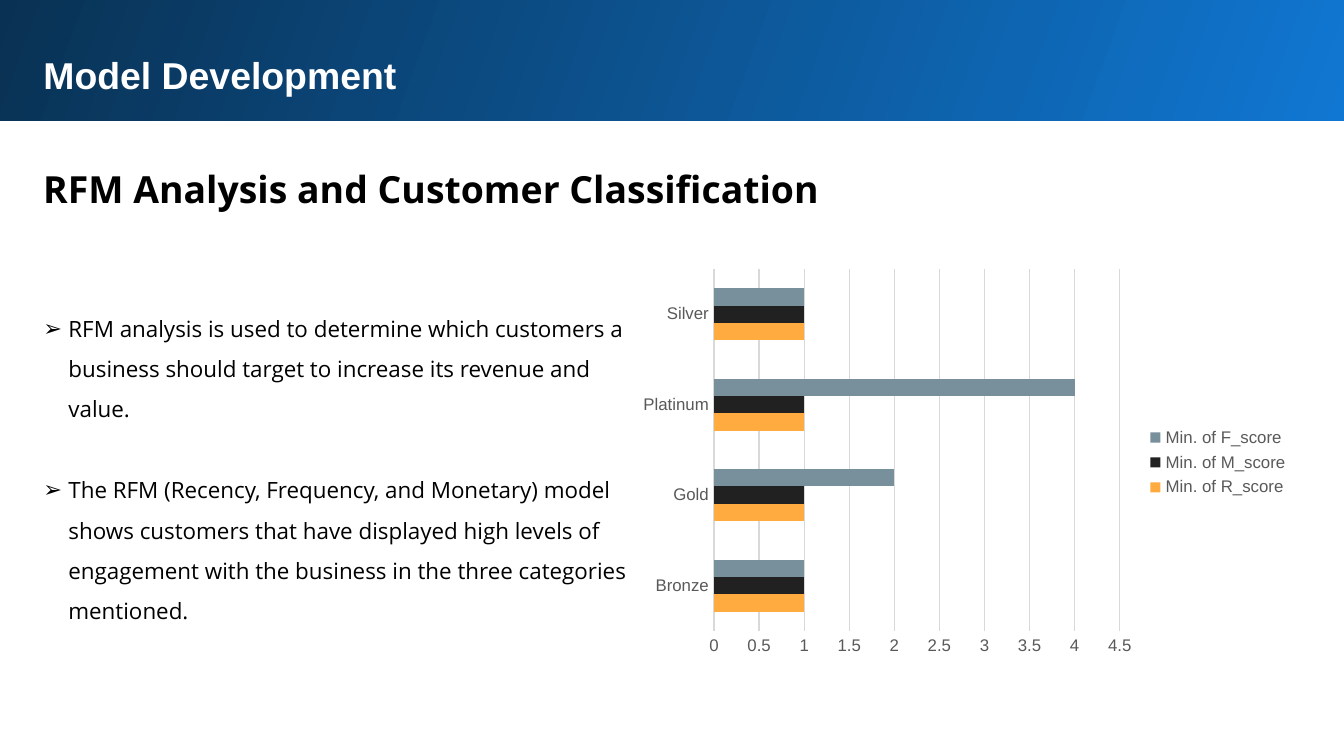
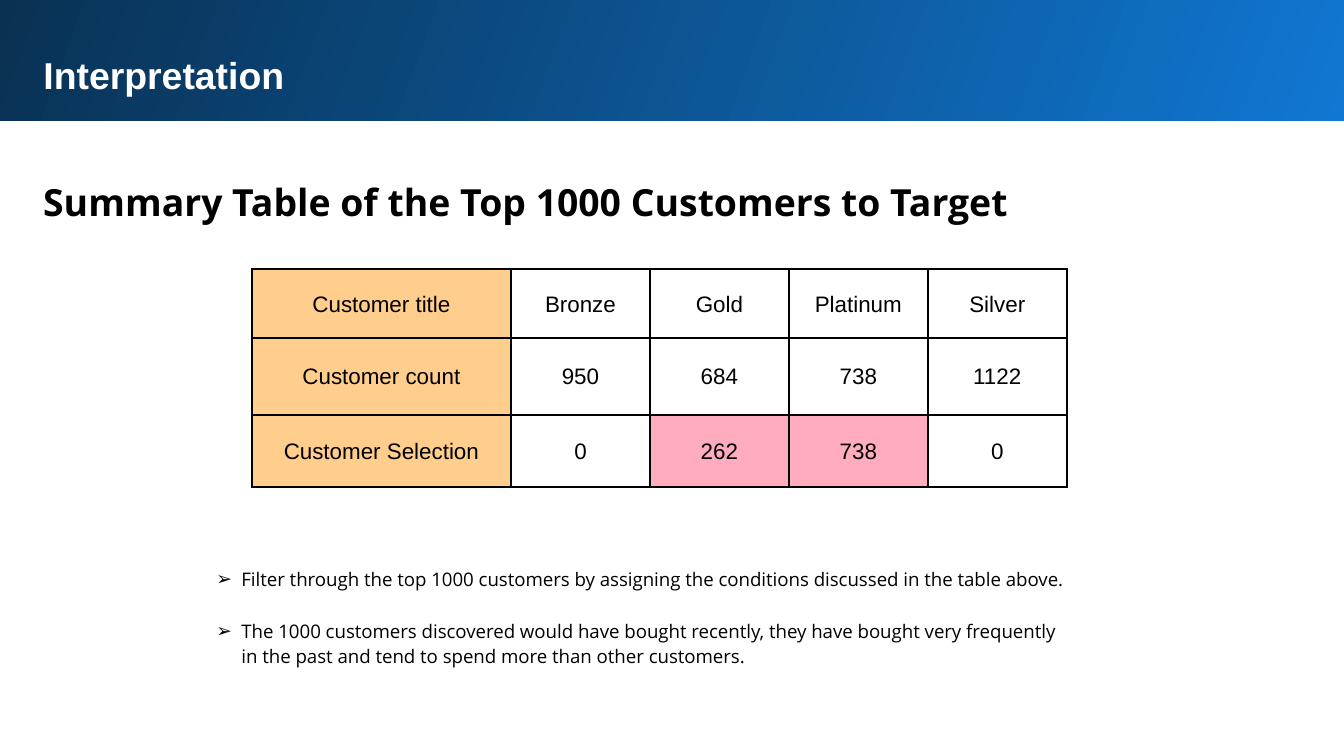
from lxml import etree
from pptx import Presentation
from pptx.chart.data import CategoryChartData
from pptx.dml.color import RGBColor
from pptx.enum.chart import XL_CHART_TYPE, XL_LEGEND_POSITION, XL_TICK_MARK
from pptx.enum.shapes import MSO_SHAPE
from pptx.enum.text import MSO_ANCHOR, MSO_AUTO_SIZE, PP_ALIGN
from pptx.oxml.ns import qn
from pptx.util import Inches, Pt

BLACK = RGBColor(0x00, 0x00, 0x00)
WHITE = RGBColor(0xFF, 0xFF, 0xFF)
BLUE = RGBColor(0x10, 0x77, 0xD2)
NAVY = RGBColor(0x09, 0x31, 0x53)
ORANGE = RGBColor(0xFF, 0xAB, 0x40)
CHARCOAL = RGBColor(0x21, 0x21, 0x21)
SLATE = RGBColor(0x78, 0x90, 0x9C)
GRAY = RGBColor(0x59, 0x59, 0x59)
GRID = RGBColor(0xD9, 0xD9, 0xD9)
PEACH = RGBColor(0xFF, 0xCD, 0x8C)
PINK = RGBColor(0xFF, 0xAD, 0xBE)
SANS, BODY = "Arial", "Open Sans"
PAD = Inches(0.1)


def px(*lengths):
    return [round(n * 914400 / 134.4) for n in lengths]


def write(sp, box, texts, size, font, color=BLACK, bold=False, spacing=1.0, gap=0):
    """Place a text shape and fill it with left-aligned paragraphs."""
    sp.left, sp.top, sp.width, sp.height = px(*box)
    tf = sp.text_frame
    tf.word_wrap = True
    tf.auto_size = MSO_AUTO_SIZE.SHAPE_TO_FIT_TEXT
    tf.vertical_anchor = MSO_ANCHOR.TOP
    tf.margin_left = tf.margin_right = tf.margin_top = tf.margin_bottom = PAD
    for i, text in enumerate(texts):
        p = tf.add_paragraph() if i else tf.paragraphs[0]
        p.alignment = PP_ALIGN.LEFT
        p.line_spacing = spacing
        p.space_before = Pt(gap if i else 0)
        p.space_after = Pt(0)
        r = p.add_run()
        r.text = text
        r.font.size, r.font.name, r.font.bold = Pt(size), font, bold
        r.font.color.rgb = color


prs = Presentation()
prs.slide_width, prs.slide_height = px(1344, 756)

# Title, title height, heading, heading top, list box, list size, spacing, gap, items
PAGES = [
    ("Model Development", 69, "RFM Analysis and Customer Classification", 146,
     (30, 288, 628, 348), 12, 1.5, 21.7,
     ["RFM analysis is used to determine which customers a business should "
      "target to increase its revenue and value.",
      "The RFM (Recency, Frequency, and Monetary) model shows customers that "
      "have displayed high levels of engagement with the business in the three "
      "categories mentioned."]),
    ("Interpretation", 112, "Summary Table of the Top 1000 Customers to Target", 159,
     (203, 551, 882, 129), 10, 1.15, 13.9,
     ["Filter through the top 1000 customers by assigning the conditions "
      "discussed in the table above.",
      "The 1000 customers discovered would have bought recently, they have bought "
      "very frequently in the past and tend to spend more than other customers."]),
]

# Band, title, heading and arrow list of each slide
for title, title_h, heading, top, box, size, spacing, gap, items in PAGES:
    s = prs.slides.add_slide(prs.slide_layouts[1])
    band = s.shapes.add_shape(MSO_SHAPE.RECTANGLE, *px(-3, -3, 1351, 124))
    band.shadow.inherit = False
    band.line.fill.background()
    band.fill.gradient()
    band.fill.gradient_angle = 160
    for stop, color, position in zip(band.fill.gradient_stops, (BLUE, NAVY), (0, 1)):
        stop.color.rgb = color
        stop.position = position
    s.shapes._spTree.insert(2, band._element)

    write(s.shapes.title, (30, 39, 1259, title_h), [title], 20, SANS, WHITE, True)
    write(s.shapes.add_textbox(0, 0, 0, 0), (30, top, 1259, 75), [heading],
          20, BODY, bold=True, spacing=1.15)
    body = s.placeholders[1]
    write(body, box, items, size, BODY, spacing=spacing, gap=gap)
    indent = px(25)[0]
    for p in body.text_frame.paragraphs:
        pPr = p._p.get_or_add_pPr()
        pPr.set("marL", str(indent))
        pPr.set("indent", str(-indent))
        etree.SubElement(pPr, qn("a:buFont")).set("typeface", SANS)
        etree.SubElement(pPr, qn("a:buChar")).set("char", "➢")

model, interpretation = prs.slides

# Score chart
data = CategoryChartData()
data.categories = ["Bronze", "Gold", "Platinum", "Silver"]
data.add_series("Min. of R_score", (1, 1, 1, 1))
data.add_series("Min. of M_score", (1, 1, 1, 1))
data.add_series("Min. of F_score", (1, 2, 4, 1))
chart = model.shapes.add_chart(XL_CHART_TYPE.BAR_CLUSTERED,
                               *px(630, 261, 672, 403), data).chart
chart.has_title = False
chart.font.size, chart.font.name = Pt(10), SANS
chart.font.color.rgb = BLACK
chart.has_legend = True
chart.legend.position = XL_LEGEND_POSITION.RIGHT
chart.legend.include_in_layout = False
plot = chart.plots[0]
plot.vary_by_categories = False
plot.gap_width = 219
for series, color in zip(plot.series, (ORANGE, CHARCOAL, SLATE)):
    series.format.fill.solid()
    series.format.fill.fore_color.rgb = color

cat, val = chart.category_axis, chart.value_axis
for axis in (cat, val):
    axis.major_tick_mark = axis.minor_tick_mark = XL_TICK_MARK.NONE
for font in (cat.tick_labels.font, val.tick_labels.font, chart.legend.font):
    font.size, font.name = Pt(9), SANS
    font.color.rgb = GRAY
val.minimum_scale, val.maximum_scale, val.major_unit = 0, 4.5, 0.5
val.has_major_gridlines = True
for line in (cat.format.line, val.major_gridlines.format.line):
    line.color.rgb = GRID
    line.width = Pt(0.75)
val.format.line.fill.background()

# Customer table
ROWS = [
    ("Customer title", "Bronze", "Gold", "Platinum", "Silver"),
    ("Customer count", "950", "684", "738", "1122"),
    ("Customer Selection", "0", "262", "738", "0"),
]
widths, heights = px(259, *[139] * 4), px(69, 77, 72)
table = interpretation.shapes.add_table(3, 5, *px(252, 269), sum(widths),
                                        sum(heights)).table
table.first_row = table.horz_banding = False
for col, width in zip(table.columns, widths):
    col.width = width
for row, height in zip(table.rows, heights):
    row.height = height
for i, texts in enumerate(ROWS):
    for j, text in enumerate(texts):
        cell = table.cell(i, j)
        cell.vertical_anchor = MSO_ANCHOR.MIDDLE
        cell.margin_left = cell.margin_right = cell.margin_top = Inches(0.01)
        cell.margin_bottom = 0
        tcPr = cell._tc.get_or_add_tcPr()
        for side in ("a:lnL", "a:lnR", "a:lnT", "a:lnB"):
            ln = etree.SubElement(tcPr, qn(side), w=str(Pt(1)))
            fill = etree.SubElement(ln, qn("a:solidFill"))
            etree.SubElement(fill, qn("a:srgbClr"), val=str(BLACK))
        if j == 0 or (i == 2 and j in (2, 3)):
            cell.fill.solid()
            cell.fill.fore_color.rgb = PINK if j else PEACH
        else:
            cell.fill.background()
        p = cell.text_frame.paragraphs[0]
        p.alignment = PP_ALIGN.CENTER
        r = p.add_run()
        r.text = text
        r.font.size, r.font.name = Pt(12), SANS
        r.font.color.rgb = BLACK

prs.save("out.pptx")
